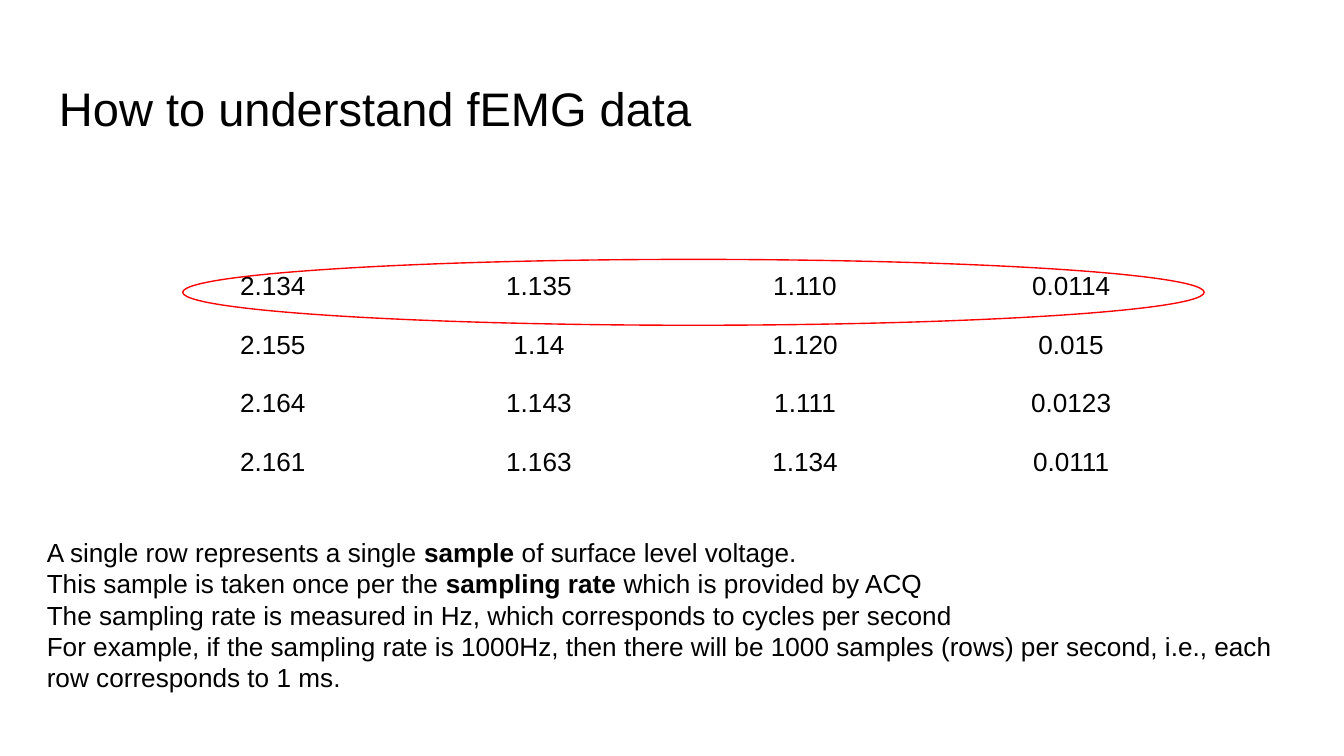
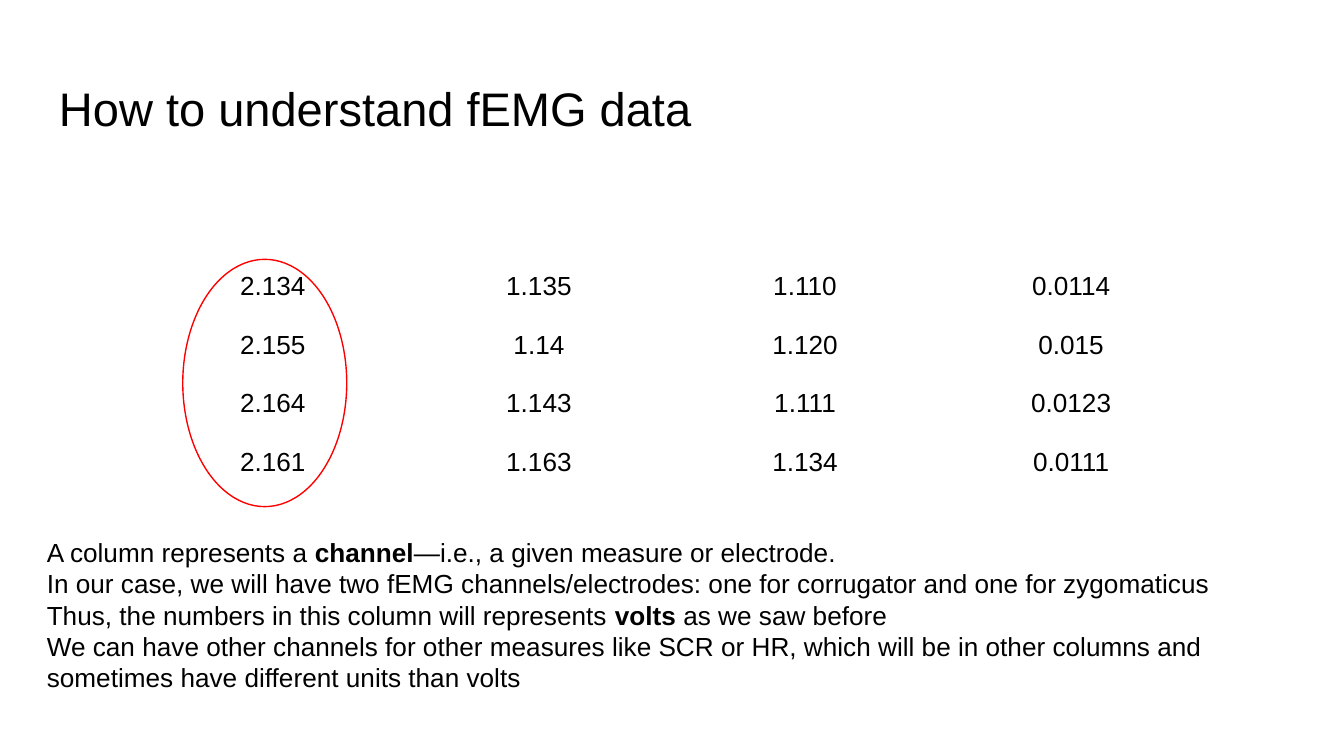
from dataclasses import dataclass

import pptx
import pptx.dml.color
import pptx.enum.shapes
import pptx.enum.text
import pptx.util
from pptx.util import Inches


@dataclass(frozen=True)
class Theme:
    font: str = "Arial"
    ink: pptx.dml.color.RGBColor = pptx.dml.color.RGBColor(0, 0, 0)
    highlight: pptx.dml.color.RGBColor = pptx.dml.color.RGBColor(255, 0, 0)
    title_size: float = 25.2
    body_size: float = 14
    highlight_width: float = 0.75
    inset: float = 0.1


@dataclass(frozen=True)
class Box:
    left: float
    top: float
    width: float
    height: float

    def lengths(self) -> tuple:
        return tuple(map(Inches, (self.left, self.top, self.width, self.height)))


@dataclass(frozen=True)
class Run:
    text: str
    bold: bool = False


@dataclass(frozen=True)
class Lesson:
    """One slide: the samples it circles and the explanation below them."""
    circled: Box
    explanation: list[list[Run]]


THEME = Theme()
TITLE = "How to understand fEMG data"
TITLE_BOX = Box(0.34, 0.49, 9.32, 0.63)
SAMPLES_BOX = Box(1.04, 1.92, 7.92, 1.75)
EXPLANATION_BOX = Box(0.25, 3.89, 9.5, 1.38)

# Rows are samples, columns are channels
SAMPLES = [
    ["2.134", "1.135", "1.110", "0.0114"],
    ["2.155", "1.14", "1.120", "0.015"],
    ["2.164", "1.143", "1.111", "0.0123"],
    ["2.161", "1.163", "1.134", "0.0111"],
]

LESSONS = [
    Lesson(Box(1.36, 1.93, 7.6, 0.49), [
        [Run("A single row represents a single "), Run("sample ", True),
         Run("of surface level voltage.")],
        [Run("This sample is taken once per the "), Run("sampling rate ", True),
         Run("which is provided by ACQ")],
        [Run("The sampling rate is measured in Hz, which corresponds to "
             "cycles per second")],
        [Run("For example, if the sampling rate is 1000Hz, then there will be "
             "1000 samples (rows) per second, i.e., each row corresponds to 1 ms.")],
    ]),
    Lesson(Box(1.36, 1.93, 1.22, 1.84), [
        [Run("A column represents a "), Run("channel", True),
         Run("—i.e., a given measure or electrode.")],
        [Run("In our case, we will have two fEMG channels/electrodes: "
             "one for corrugator and one for zygomaticus")],
        [Run("Thus, the numbers in this column will represents "),
         Run("volts ", True), Run("as we saw before")],
        [Run("We can have other channels for other measures like SCR or HR, which "
             "will be in other columns and sometimes have different units than volts")],
    ]),
]


def add_run(paragraph, run: Run, size: float) -> None:
    part = paragraph.add_run()
    part.text = run.text
    part.font.name = THEME.font
    part.font.size = pptx.util.Pt(size)
    part.font.bold = run.bold
    part.font.color.rgb = THEME.ink


def set_margins(target) -> None:
    """Give a text frame or a table cell the shared inset."""
    target.margin_left = target.margin_right = Inches(THEME.inset)
    target.margin_top = target.margin_bottom = Inches(THEME.inset)


def add_text(slide, box: Box, paragraphs: list[list[Run]], size: float) -> None:
    frame = slide.shapes.add_textbox(*box.lengths()).text_frame
    frame.word_wrap = True
    set_margins(frame)
    for index, runs in enumerate(paragraphs):
        paragraph = frame.add_paragraph() if index else frame.paragraphs[0]
        for run in runs:
            add_run(paragraph, run, size)


def add_samples(slide) -> None:
    table = slide.shapes.add_table(
        len(SAMPLES), len(SAMPLES[0]), *SAMPLES_BOX.lengths()).table
    table.first_row = table.horz_banding = False
    for row, values in enumerate(SAMPLES):
        for column, value in enumerate(values):
            cell = table.cell(row, column)
            cell.fill.background()
            set_margins(cell)
            paragraph = cell.text_frame.paragraphs[0]
            paragraph.alignment = pptx.enum.text.PP_ALIGN.CENTER
            add_run(paragraph, Run(value), THEME.body_size)


def circle_samples(slide, box: Box) -> None:
    ellipse = slide.shapes.add_shape(
        pptx.enum.shapes.MSO_SHAPE.OVAL, *box.lengths())
    ellipse.shadow.inherit = False
    ellipse.fill.background()
    ellipse.line.color.rgb = THEME.highlight
    ellipse.line.width = pptx.util.Pt(THEME.highlight_width)


def add_lesson(deck, lesson: Lesson) -> None:
    slide = deck.slides.add_slide(deck.slide_layouts[6])
    add_text(slide, TITLE_BOX, [[Run(TITLE)]], THEME.title_size)
    add_samples(slide)
    circle_samples(slide, lesson.circled)
    add_text(slide, EXPLANATION_BOX, lesson.explanation, THEME.body_size)


def main() -> None:
    deck = pptx.Presentation()
    # Widescreen, 16 to 9
    deck.slide_width = Inches(10)
    deck.slide_height = deck.slide_width * 9 // 16
    for lesson in LESSONS:
        add_lesson(deck, lesson)
    deck.save("out.pptx")


if __name__ == "__main__":
    main()
